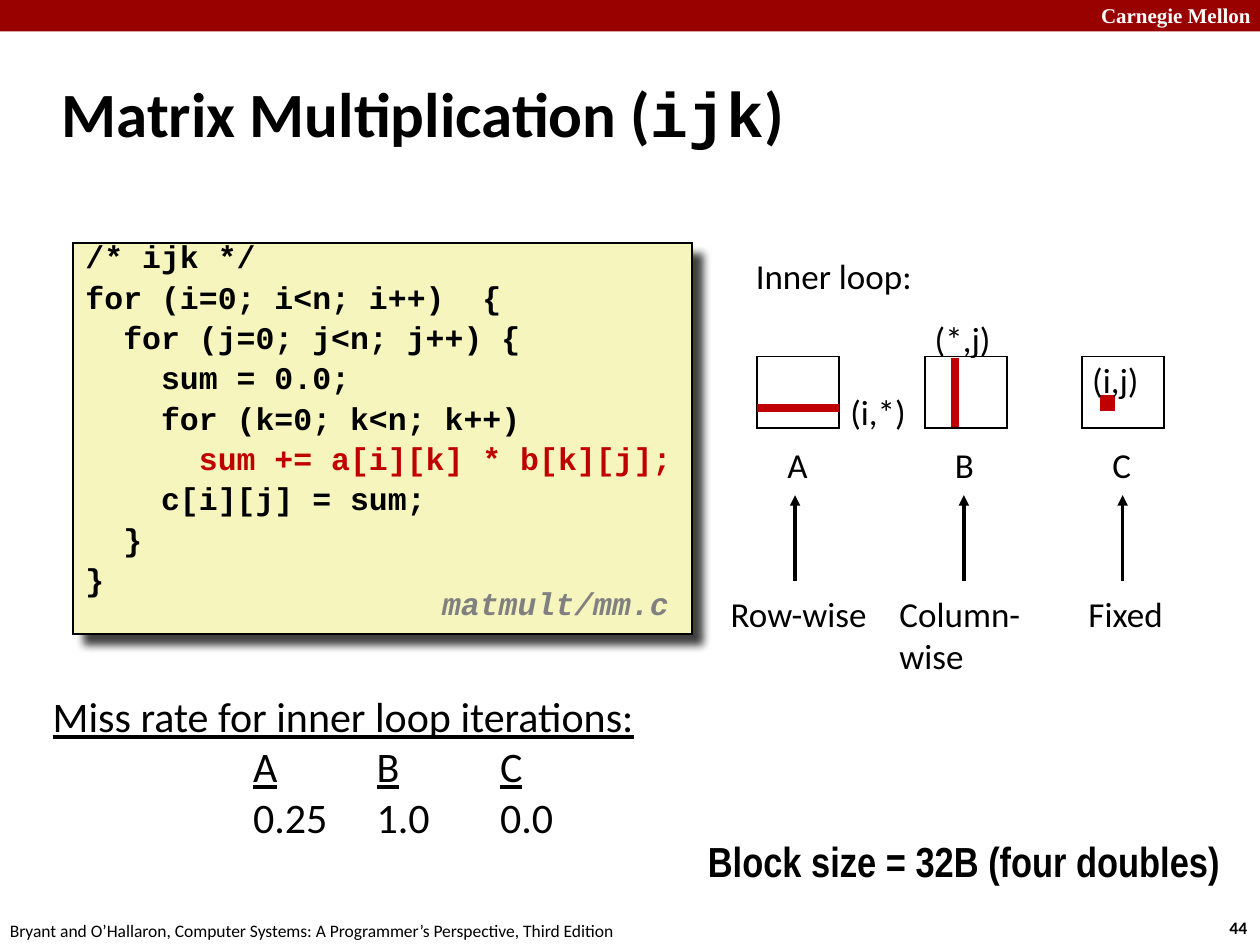
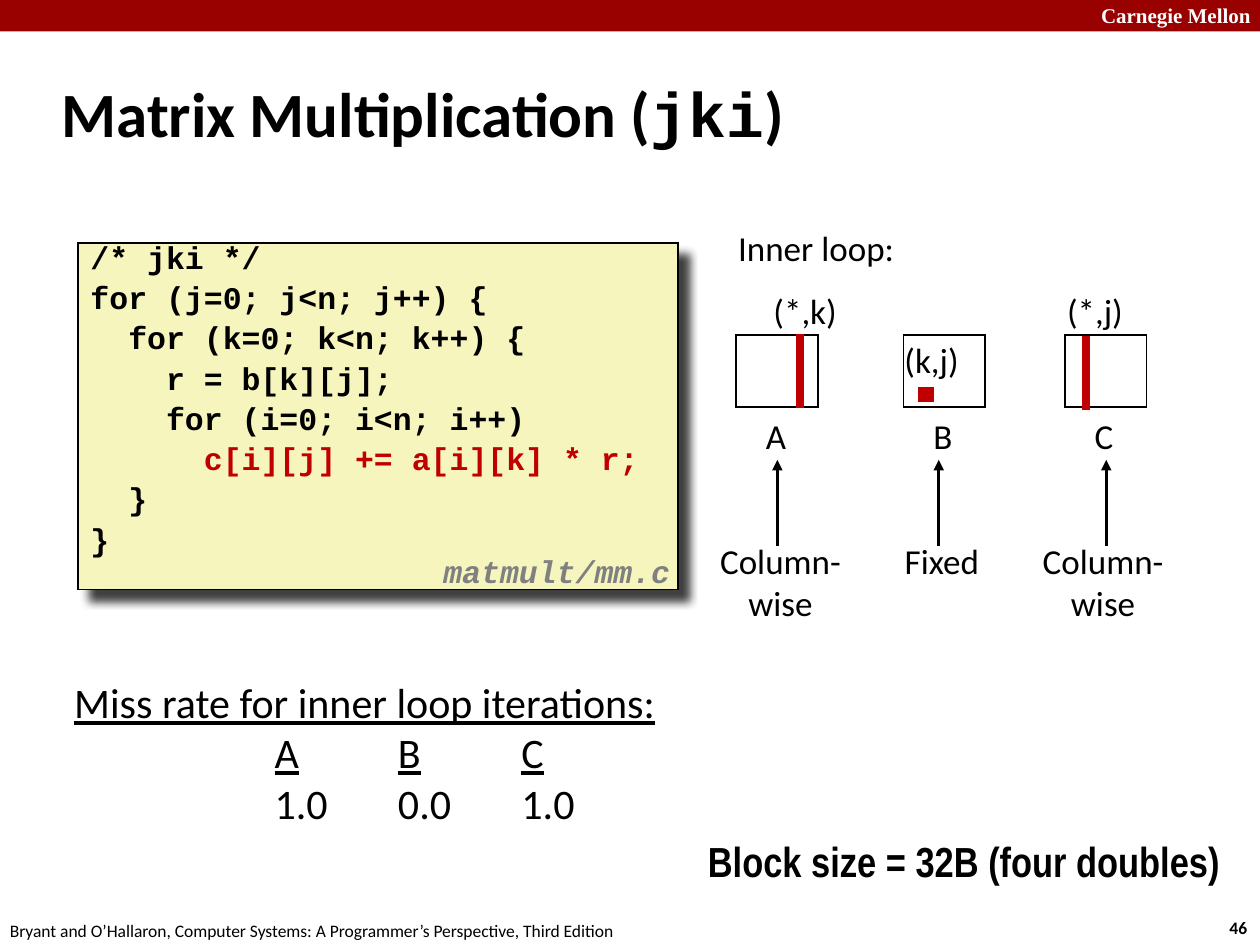
from dataclasses import dataclass

from lxml.etree import SubElement
from pptx import Presentation
from pptx.dml.color import RGBColor
from pptx.enum.shapes import MSO_CONNECTOR as CONNECTOR, MSO_SHAPE as SHAPE
from pptx.enum.text import MSO_ANCHOR as ANCHOR, PP_ALIGN as ALIGN
from pptx.oxml.ns import qn
from pptx.util import Inches, Pt

BLACK, WHITE, GRAY = "000000", "FFFFFF", "808080"
BAND_RED, ACCENT_RED, MARK_RED, CODE_YELLOW = "990000", "C00000", "FF0000", "F6F5BD"
BODY, CODE, NARROW, SERIF = "Calibri", "Courier New", "Arial Narrow", "Times New Roman"
CELL_W, CELL_H, MARK = 0.65, 0.57, 0.06
FOOTER = "Bryant and O’Hallaron, Computer Systems: A Programmer’s Perspective, Third Edition"


@dataclass
class Matrix:
    """One matrix of the inner loop; offsets start at its top left corner."""
    name: str
    x: float
    index: str
    index_at: tuple
    mark: tuple
    access: str
    access_x: float
    arrow_x: float
    miss: str


@dataclass
class Diagram:
    """Inner loop drawing; offsets start at the top left matrix corner."""
    at: tuple
    heading_at: tuple
    name_y: float
    arrow_y: float
    access_y: float
    access_align: ALIGN
    matrices: list


def color(hex_string):
    """Turn a hex string into a colour."""
    return RGBColor.from_string(hex_string)


def write(frame, lines, size=20, font=BODY, ink=BLACK, bold=False, italic=False,
          underline=False, align=ALIGN.LEFT, spacing=None, before=0, tabs=(), wrap=False):
    """Fill a frame; a line is a string or a list of (text, overrides) runs."""
    frame.word_wrap = wrap
    for number, line in enumerate([lines] if isinstance(lines, str) else lines):
        paragraph = frame.add_paragraph() if number else frame.paragraphs[0]
        if tabs:
            tab_list = SubElement(paragraph._p.get_or_add_pPr(), qn("a:tabLst"))
            for stop in tabs:
                SubElement(tab_list, qn("a:tab"), pos=str(Inches(stop)), algn="l")
        paragraph.alignment = align
        if spacing:
            paragraph.line_spacing = spacing
        if number and before:
            paragraph.space_before = Pt(before)
        for text, changes in [(line, {})] if isinstance(line, str) else line:
            style = dict(font=font, ink=ink, underline=underline) | changes
            run = paragraph.add_run()
            run.text = text
            run.font.size, run.font.name = Pt(size), style["font"]
            run.font.bold, run.font.italic = bold, italic
            run.font.underline = style["underline"]
            run.font.color.rgb = color(style["ink"])


def add_text(slide, x, y, width, height, lines, **style):
    """Place a text box."""
    box = slide.shapes.add_textbox(Inches(x), Inches(y), Inches(width), Inches(height))
    write(box.text_frame, lines, **style)
    return box


def add_box(slide, x, y, width, height, fill, line=None, line_width=1):
    """Place a flat rectangle with sharp corners."""
    box = slide.shapes.add_shape(SHAPE.RECTANGLE, Inches(x), Inches(y),
                                 Inches(width), Inches(height))
    box.shadow.inherit = False
    box.fill.solid()
    box.fill.fore_color.rgb = color(fill)
    if line:
        box.line.color.rgb = color(line)
        box.line.width = Pt(line_width)
        SubElement(box.line._get_or_add_ln(), qn("a:miter"), lim="800000")
    else:
        box.line.fill.background()
    return box


def add_line(slide, x1, y1, x2, y2, ink, width, arrow=False):
    """Draw a straight line, with an arrowhead at its end if asked."""
    line = slide.shapes.add_connector(CONNECTOR.STRAIGHT, Inches(x1), Inches(y1),
                                      Inches(x2), Inches(y2))
    line.line.color.rgb = color(ink)
    line.line.width = Pt(width)
    if arrow:
        SubElement(line.line._get_or_add_ln(), qn("a:tailEnd"), type="triangle")
    SubElement(line._element.spPr, qn("a:effectLst"))


def cast_shadow(box):
    """Give a box a soft shadow to the lower right."""
    effects = box._element.spPr.find(qn("a:effectLst"))
    shadow = SubElement(effects, qn("a:outerShdw"), blurRad=str(Pt(5)), dist=str(Pt(8.5)),
                        dir=str(45 * 60000), algn="tl", rotWithShape="0")
    ink = SubElement(shadow, qn("a:srgbClr"), val=BLACK)
    SubElement(ink, qn("a:alpha"), val="75000")


def add_frame(slide, order, page):
    """Draw the band, title, footer and block size note."""
    add_box(slide, 0, 0, 10, 0.25, BAND_RED)
    add_text(slide, 8.64, -0.03, 1.43, 0.3, "Carnegie Mellon", size=12, font=SERIF,
             ink=WHITE, bold=True, wrap=True)
    add_text(slide, 9.66, 7.23, 0.37, 0.27, page, size=10, bold=True)
    add_text(slide, -0.02, 7.25, 5.08, 0.27, FOOTER, size=10)
    title = [("Matrix Multiplication (", {}), (order, {"font": CODE}), (")", {})]
    heading = add_text(slide, 0.39, 0.48, 8.3, 0.83, [title], size=36, bold=True, wrap=True)
    heading.text_frame.vertical_anchor = ANCHOR.MIDDLE
    add_text(slide, 5.52, 6.58, 4.4, 0.5, "Block size = 32B (four doubles)", size=24,
             font=NARROW, bold=True, wrap=True)


def add_code(slide, x, y, width, height, code, inner, file_at):
    """Show a listing with its inner statement in red and its file name."""
    listing = add_box(slide, x, y, width, height, CODE_YELLOW, BLACK)
    cast_shadow(listing)
    listing.text_frame.vertical_anchor = ANCHOR.TOP
    lines = [[(line, {"ink": ACCENT_RED if number == inner else BLACK})]
             for number, line in enumerate(code.strip().splitlines())]
    write(listing.text_frame, lines, size=18, font=CODE, bold=True, spacing=0.65,
          before=9, wrap=True)
    add_text(slide, x + file_at[0], y + file_at[1], 2.08, 0.39, "matmult/mm.c", size=18,
             font=CODE, ink=GRAY, bold=True, italic=True, spacing=0.94)


def add_matrix(slide, x, y, matrix, diagram):
    """Draw one matrix with its touched part, name and access pattern."""
    add_box(slide, x, y, CELL_W, CELL_H, WHITE, BLACK)
    add_text(slide, x + 0.14, y + diagram.name_y, 0.36, 0.43, matrix.name)
    if len(matrix.mark) == 2:
        add_box(slide, x + matrix.mark[0], y + matrix.mark[1], MARK, MARK,
                MARK_RED, ACCENT_RED, 4.5)
    else:
        x1, y1, x2, y2 = matrix.mark
        add_line(slide, x + x1, y + y1, x + x2, y + y2, ACCENT_RED, 4.5)
    add_text(slide, x + matrix.index_at[0], y + matrix.index_at[1], 0.75, 0.43, matrix.index)
    arrow_x, arrow_y = x + matrix.arrow_x, y + diagram.arrow_y
    add_line(slide, arrow_x, arrow_y + 0.68, arrow_x, arrow_y, BLACK, 2, arrow=True)
    lines = matrix.access.split("\n")
    width = {"Row-wise": 1.29, "Fixed": 0.79}.get(matrix.access, 1.17)
    add_text(slide, x + matrix.access_x, y + diagram.access_y, width, 0.09 + 0.34 * len(lines),
             lines, align=diagram.access_align)


def add_diagram(slide, diagram):
    """Draw the inner loop heading and its matrices."""
    x, y = diagram.at
    add_text(slide, x + diagram.heading_at[0], y + diagram.heading_at[1], 1.45, 0.43,
             "Inner loop:")
    for matrix in diagram.matrices:
        add_matrix(slide, x + matrix.x, y, matrix, diagram)


def add_miss_rates(slide, x, y, matrices):
    """List the miss rate of each matrix under its name."""
    names = [part for matrix in matrices
             for part in (("\t", {}), (matrix.name, {"underline": True}))]
    rates = "".join("\t" + matrix.miss for matrix in matrices)
    heading = [("Miss rate for inner loop iterations:", {"underline": True})]
    add_text(slide, x, y, 5.55, 1.33, [heading, names, rates], size=24,
             tabs=(1.59, 2.57, 3.55), wrap=True)


def add_order_slide(deck, order, page, code, inner, code_box, file_at, diagram, miss_at):
    """Build the slide for one loop order."""
    slide = deck.slides.add_slide(deck.slide_layouts[6])
    add_frame(slide, order, page)
    add_code(slide, *code_box, code, inner, file_at)
    add_diagram(slide, diagram)
    add_miss_rates(slide, *miss_at, diagram.matrices)


IJK_CODE = """
/* ijk */
for (i=0; i<n; i++)  {
  for (j=0; j<n; j++) {
    sum = 0.0;
    for (k=0; k<n; k++)
      sum += a[i][k] * b[k][j];
    c[i][j] = sum;
  }
}
"""
JKI_CODE = """
/* jki */
for (j=0; j<n; j++) {
  for (k=0; k<n; k++) {
    r = b[k][j];
    for (i=0; i<n; i++)
      c[i][j] += a[i][k] * r;
  }
}
"""
COLUMN_WISE = "Column-\nwise"
IJK = Diagram((6.01, 2.83), (-0.11, -0.86), 0.64, 1.1, 1.82, ALIGN.LEFT, [
    Matrix("A", 0, "(i,*)", (0.64, 0.22), (0, 0.41, CELL_W, 0.41), "Row-wise", -0.31, 0.3, "0.25"),
    Matrix("B", 1.33, "(*,j)", (-0.02, -0.36), (0.24, 0.01, 0.24, 0.56), COLUMN_WISE,
           -0.3, 0.31, "1.0"),
    Matrix("C", 2.58, "(i,j)", (-0.02, -0.03), (0.17, 0.34), "Fixed", -0.05, 0.32, "0.0"),
])
JKI = Diagram((5.84, 2.66), (-0.08, -0.91), 0.58, 0.99, 1.57, ALIGN.CENTER, [
    Matrix("A", 0, "(*,k)", (0.2, -0.41), (0.51, -0.01, 0.51, 0.58), COLUMN_WISE,
           -0.23, 0.33, "1.0"),
    Matrix("B", 1.33, "(k,j)", (-0.09, -0.02), (0.15, 0.44), "Fixed", -0.09, 0.28, "0.0"),
    Matrix("C", 2.61, "(*,j)", (-0.08, -0.41), (0.17, 0.01, 0.17, 0.59), COLUMN_WISE,
           -0.28, 0.33, "1.0"),
])


def main():
    """Build and save the deck."""
    deck = Presentation()
    deck.slide_width, deck.slide_height = Inches(10), Inches(7.5)
    add_order_slide(deck, "ijk", "44", IJK_CODE, 5, (0.58, 1.93, 4.91, 3.1), (2.83, 2.68),
                    IJK, (0.32, 5.43))
    add_order_slide(deck, "jki", "46", JKI_CODE, 5, (0.62, 1.93, 4.76, 2.75), (2.8, 2.43),
                    JKI, (0.49, 5.32))
    deck.save("out.pptx")


if __name__ == "__main__":
    main()
